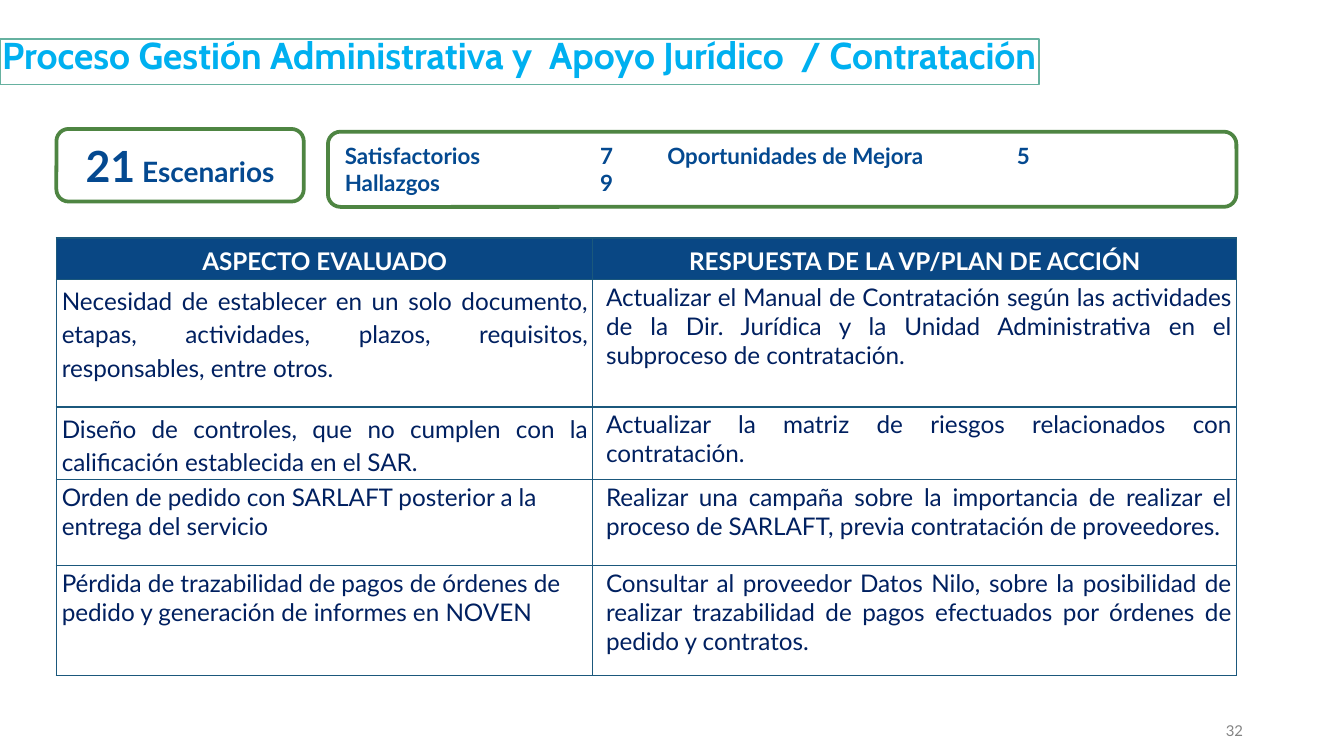
from lxml import etree
from pptx import Presentation
from pptx.dml.color import RGBColor
from pptx.enum.shapes import MSO_SHAPE
from pptx.enum.text import MSO_ANCHOR, MSO_AUTO_SIZE, PP_ALIGN
from pptx.oxml.ns import qn
from pptx.util import Inches, Pt

ROUND = MSO_SHAPE.ROUNDED_RECTANGLE
TOP, MID, LOW = MSO_ANCHOR.TOP, MSO_ANCHOR.MIDDLE, MSO_ANCHOR.BOTTOM
LEFT, MIDST = PP_ALIGN.LEFT, PP_ALIGN.CENTER
RIGHT, FULL = PP_ALIGN.RIGHT, PP_ALIGN.JUSTIFY
FIXED = MSO_AUTO_SIZE.NONE

WIDE = Inches(10)
HIGH = WIDE * 9 // 16
COLS, ROWS = 100, 56.25
INK = {"title": "00B0F0", "frame": "66B1A0", "green": "4E8542", "blue": "044990",
       "head": "094784", "rule": "1B587C", "body": "002060", "white": "FFFFFF",
       "gray": "848484"}
SIDES = ("a:lnL", "a:lnR", "a:lnT", "a:lnB")
MARGINS = ("margin_left", "margin_top", "margin_right", "margin_bottom")


def rgb(name):
    return RGBColor.from_string(INK[name])


def apply(thing, values):
    for key, value in values.items():
        setattr(thing, key, value)


class Deck:
    def __init__(self):
        self.file = Presentation()
        apply(self.file, {"slide_width": WIDE, "slide_height": HIGH})
        self.slide = self.file.slides.add_slide(self.file.slide_layouts[5])

    def x(self, cols):
        return round(WIDE * cols / COLS)

    def y(self, rows):
        return round(HIGH * rows / ROWS)

    def area(self, left, top, width, height):
        return self.x(left), self.y(top), self.x(width), self.y(height)

    def runs(self, para, parts, align, space=None, indent=0, tabs=()):
        apply(para, {"alignment": align, "line_spacing": space})
        props = para._p.get_or_add_pPr()
        if indent:
            props.set("marL", str(self.x(indent)))
            props.set("indent", "0")
        if tabs:
            stops = etree.SubElement(props, qn("a:tabLst"))
            for tab in tabs:
                etree.SubElement(stops, qn("a:tab"), pos=str(self.x(tab)), algn="l")
        for text, size, color, bold, face in parts:
            run = para.add_run()
            run.text = text
            apply(run.font, {"size": Pt(size), "bold": bold, "name": face})
            run.font.color.rgb = rgb(color)

    def frame(self, shape, anchor, inset=None):
        frame = shape.text_frame
        apply(frame, {"word_wrap": True, "auto_size": FIXED, "vertical_anchor": anchor})
        if inset is not None:
            apply(frame, dict.fromkeys(MARGINS, inset))
        return frame

    def title(self, area, text):
        shape = self.slide.shapes.title
        apply(shape, dict(zip(("left", "top", "width", "height"), self.area(*area))))
        shape.line.color.rgb = rgb("frame")
        shape.line.width = Pt(0.75)
        para = self.frame(shape, TOP, 0).paragraphs[0]
        self.runs(para, [(text, 20, "title", True, "Cabin")], MIDST, 0.85)

    def box(self, area, lines, align, tabs=()):
        shape = self.slide.shapes.add_shape(ROUND, *self.area(*area))
        shape.shadow.inherit = False
        shape.fill.solid()
        shape.fill.fore_color.rgb = rgb("white")
        shape.line.color.rgb = rgb("green")
        shape.line.width = Pt(2)
        frame = self.frame(shape, MID)
        for i, line in enumerate(lines):
            para = frame.add_paragraph() if i else frame.paragraphs[0]
            parts = [(text, size, "blue", True, "Lato") for text, size in line]
            self.runs(para, parts, align, tabs=tabs)

    def note(self, area, text):
        shape = self.slide.shapes.add_textbox(*self.area(*area))
        para = self.frame(shape, LOW, 0).paragraphs[0]
        self.runs(para, [(text, 8, "gray", False, "Lato")], RIGHT)

    def edge(self, cell):
        props = cell._tc.get_or_add_tcPr()
        for i, side in enumerate(SIDES):
            line = etree.Element(qn(side), w=str(Pt(1)))
            fill = etree.SubElement(line, qn("a:solidFill"))
            etree.SubElement(fill, qn("a:srgbClr"), val=INK["rule"])
            props.insert(i, line)

    def cell(self, cell, text, head, align, space, indent):
        apply(cell, dict(zip(MARGINS, map(Inches, (0.04, 0.02, 0.04, 0.02)))))
        cell.vertical_anchor = MID if head else TOP
        if head:
            cell.fill.solid()
            cell.fill.fore_color.rgb = rgb("head")
        else:
            cell.fill.background()
        self.edge(cell)
        color = "white" if head else "body"
        self.runs(cell.text_frame.paragraphs[0], [(text, 13, color, head, "Lato")],
                  align, space, indent)

    def table(self, area, widths, heights, data):
        grid = self.slide.shapes.add_table(len(data), len(widths), *self.area(*area)).table
        for col, width in zip(grid.columns, widths):
            col.width = self.x(width)
        for row, height in zip(grid.rows, heights):
            row.height = self.y(height)
        for r, (pair, align, space) in enumerate(data):
            for c, text in enumerate(pair):
                head = r == 0
                plan = c == 1 and not head
                self.cell(grid.cell(r, c), text, head, FULL if plan else align,
                          None if plan else space, 0.6 if plan else 0)


def main():
    deck = Deck()
    deck.note((89.3, 53.7, 3.2, 1.3), "32")
    deck.table((4.2, 17.7, 87.8, 31.9), (39.9, 47.9), (3.1, 9.5, 4.7, 6.4, 8.2), [
        (("ASPECTO EVALUADO", "RESPUESTA DE LA VP/PLAN DE ACCIÓN"), MIDST, 1.15),
        (("Necesidad de establecer en un solo documento, etapas, actividades, plazos, "
          "requisitos, responsables, entre otros.",
          "Actualizar el Manual de Contratación según las actividades de la Dir. Jurídica "
          "y la Unidad Administrativa en el subproceso de contratación."), FULL, 1.15),
        (("Diseño de controles, que no cumplen con la calificación establecida en el SAR.",
          "Actualizar la matriz de riesgos relacionados con contratación."), FULL, 1.15),
        (("Orden de pedido con SARLAFT posterior a la entrega del servicio",
          "Realizar una campaña sobre la importancia de realizar el proceso de SARLAFT, "
          "previa contratación de proveedores."), LEFT, None),
        (("Pérdida de trazabilidad de pagos de órdenes de pedido y generación de informes "
          "en NOVEN",
          "Consultar al proveedor Datos Nilo, sobre la posibilidad de realizar "
          "trazabilidad de pagos efectuados por órdenes de pedido y contratos."), LEFT, None),
    ])
    deck.title((0, 2.9, 77.3, 3.4),
               "Proceso Gestión Administrativa y  Apoyo Jurídico  / Contratación")
    deck.box((4.2, 9.6, 18.4, 5.4), [[("21", 23), (" Escenarios", 15)]], MIDST)
    deck.box((24.4, 9.8, 67.6, 5.6), [
        [("Satisfactorios\t7\tOportunidades de Mejora\t5", 12)],
        [("Hallazgos\t9", 12)],
    ], LEFT, (19, 24, 50))
    deck.file.save("out.pptx")


if __name__ == "__main__":
    main()
